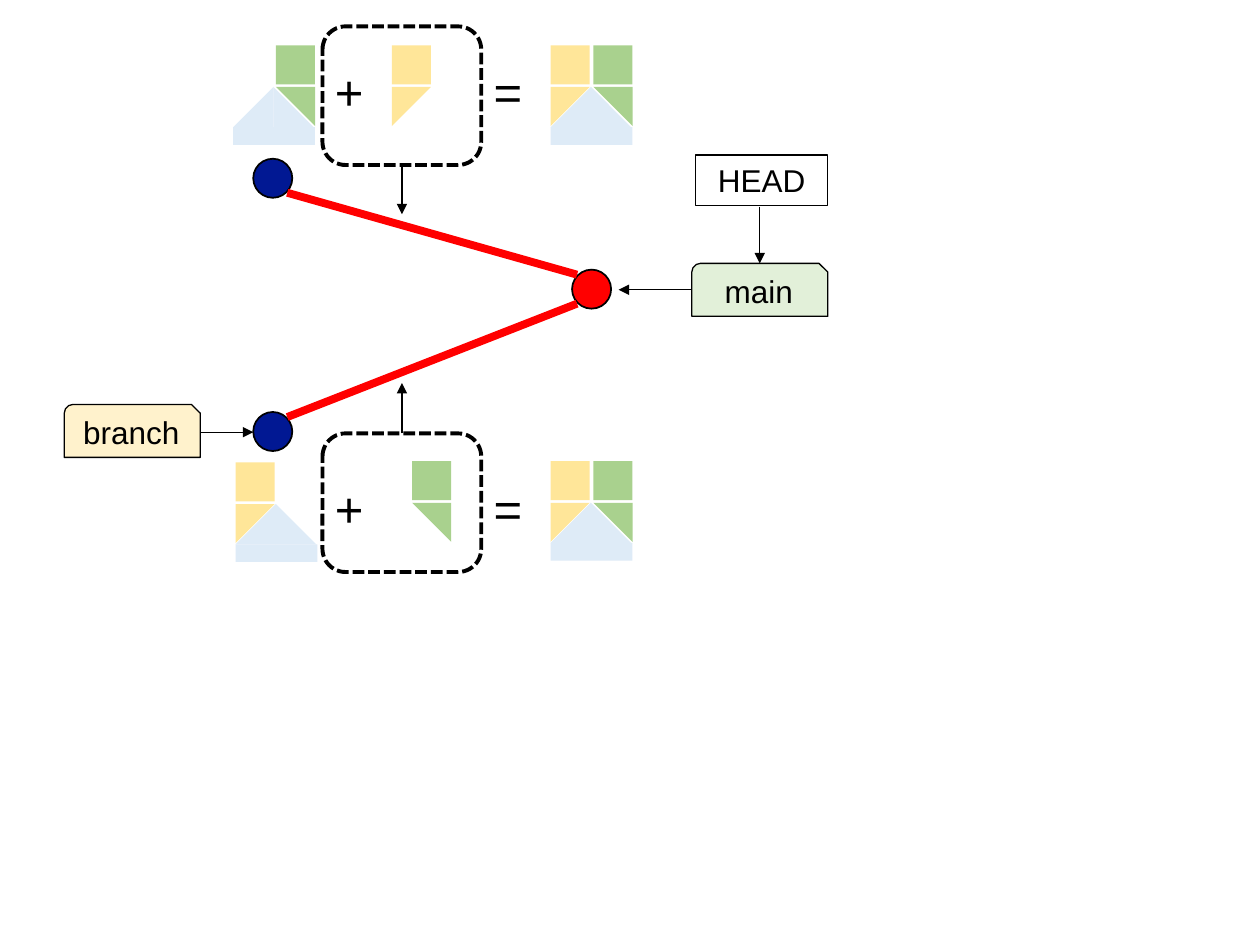
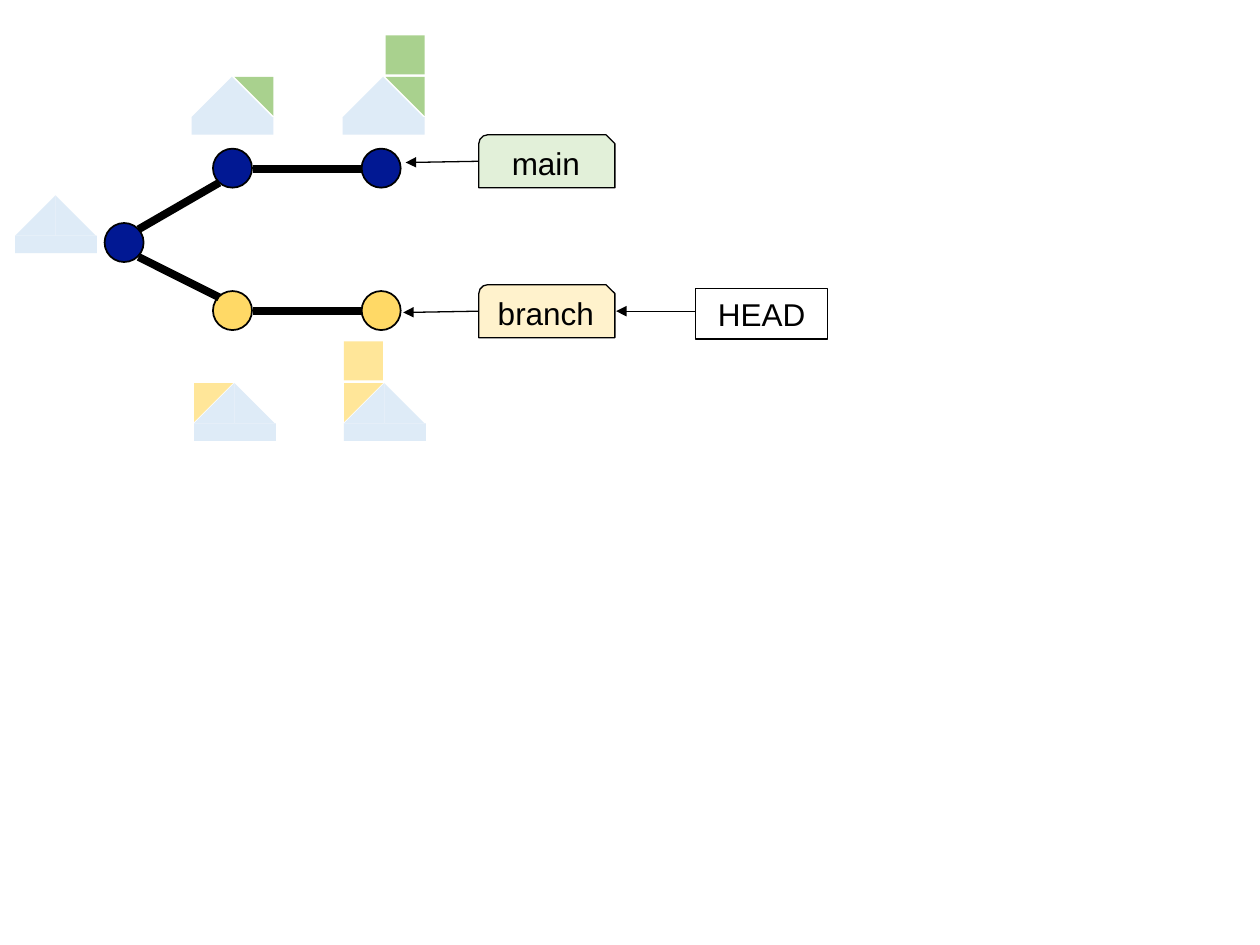
from pptx import Presentation
from pptx.dml.color import RGBColor
from pptx.enum.dml import MSO_LINE
from pptx.enum.shapes import MSO_CONNECTOR, MSO_SHAPE as Kind
from pptx.enum.text import MSO_ANCHOR, MSO_AUTO_SIZE, PP_ALIGN
from pptx.oxml.ns import qn
from pptx.util import Inches, Pt
from lxml import etree

BLACK, NAVY, RED, GOLD = "000000", "011893", "FF0000", "FFD966"
BLUE, GREEN, YELLOW = "DEEBF7", "A9D18E", "FFE699"
FONT = "Arial"
DOT = 0.31

# Part of a house: kind, offset from the roof corner, size, colour, turn
PARTS = {
    "base": (Kind.RECTANGLE, 0, 0.32, 0.65, 0.14, BLUE, 0),
    "roof right": (Kind.RIGHT_TRIANGLE, 0.32, 0, 0.32, 0.32, BLUE, 0),
    "roof left": (Kind.RIGHT_TRIANGLE, 0, 0, 0.32, 0.32, BLUE, 270),
    "green wedge": (Kind.RIGHT_TRIANGLE, 0.34, 0, 0.31, 0.31, GREEN, 180),
    "yellow wedge": (Kind.RIGHT_TRIANGLE, 0, 0, 0.31, 0.31, YELLOW, 90),
    "green block": (Kind.RECTANGLE, 0.34, -0.33, 0.31, 0.31, GREEN, 0),
    "yellow block": (Kind.RECTANGLE, 0, -0.33, 0.31, 0.31, YELLOW, 0),
}
ROOF = ["base", "roof right", "roof left"]
GREENS = ["green wedge", "green block"]
YELLOWS = ["yellow wedge", "yellow block"]

# Tag: kind, size, fill
TAGS = {
    "main": (Kind.SNIP_ROUND_RECTANGLE, 1.08, 0.42, "E2F0D9"),
    "branch": (Kind.SNIP_ROUND_RECTANGLE, 1.08, 0.42, "FFF2CC"),
    "HEAD": (Kind.RECTANGLE, 1.05, 0.4, None),
}

MERGE = {
    "houses": [
        (1.85, 0.69, ROOF + GREENS), (3.11, 0.69, YELLOWS),
        (4.37, 0.69, ROOF + GREENS + YELLOWS),
        (1.87, 4, ROOF + YELLOWS), (2.93, 3.99, GREENS),
        (4.37, 3.99, ROOF + GREENS + YELLOWS),
    ],
    "nodes": [(2.01, 1.26, NAVY), (2.01, 3.27, NAVY), (4.54, 2.14, RED)],
    "edges": [(2.28, 1.53, 4.58, 2.18), (2.28, 3.31, 4.58, 2.41)],
    "edge colour": RED,
    "tags": [("main", 5.49, 2.09), ("branch", 0.51, 3.21), ("HEAD", 5.52, 1.23)],
    "arrows": [
        (5.49, 2.3, 4.91, 2.3, 0.75), (1.59, 3.43, 2.01, 3.43, 0.75),
        (6.03, 1.64, 6.03, 2.09, 0.75),
        (3.19, 1.31, 3.19, 1.7, 1), (3.19, 3.44, 3.19, 3.04, 1),
    ],
    "sums": [0.21, 3.44],
    "sum signs": [0.44, 3.75],
}
SPLIT = {
    "houses": [
        (0.12, 1.55, ROOF),
        (1.52, 0.61, ROOF + ["green wedge"]), (2.72, 0.61, ROOF + GREENS),
        (1.54, 3.04, ROOF + ["yellow wedge"]), (2.73, 3.04, ROOF + YELLOWS),
    ],
    "nodes": [
        (0.83, 1.77, NAVY), (1.69, 1.18, NAVY), (2.87, 1.18, NAVY),
        (1.69, 2.31, GOLD), (2.87, 2.31, GOLD),
    ],
    "edges": [
        (1.1, 1.82, 1.74, 1.45), (1.1, 2.04, 1.74, 2.36),
        (2.01, 1.34, 2.87, 1.34), (2.01, 2.47, 2.87, 2.47),
    ],
    "edge colour": BLACK,
    "tags": [("main", 3.8, 1.07), ("branch", 3.8, 2.26), ("HEAD", 5.52, 2.29)],
    "arrows": [
        (3.8, 1.28, 3.22, 1.29, 0.75), (3.8, 2.47, 3.2, 2.48, 0.75),
        (5.52, 2.47, 4.89, 2.47, 0.75),
    ],
    "sums": [],
    "sum signs": [],
}


def rgb(code):
    return RGBColor.from_string(code)


def draw(shapes, kind, x, y, w, h, fill=None, width=0, turn=0):
    """Add a preset shape; a width of 0 means no outline."""
    shape = shapes.add_shape(kind, *map(Inches, (x, y, w, h)))
    shape.shadow.inherit = False
    shape.rotation = turn
    if fill:
        shape.fill.solid()
        shape.fill.fore_color.rgb = rgb(fill)
    else:
        shape.fill.background()
    if width:
        shape.line.color.rgb = rgb(BLACK)
        shape.line.width = Pt(width)
    else:
        shape.line.fill.background()
    return shape


def write(shape, text, size=18, align=PP_ALIGN.CENTER, anchor=MSO_ANCHOR.MIDDLE,
          wrap=True):
    frame = shape.text_frame
    frame.word_wrap = wrap
    frame.auto_size = MSO_AUTO_SIZE.SHAPE_TO_FIT_TEXT
    frame.vertical_anchor = anchor
    para = frame.paragraphs[0]
    para.alignment = align
    run = para.add_run()
    run.text = text
    run.font.name = FONT
    run.font.size = Pt(size)
    run.font.color.rgb = rgb(BLACK)


def link(shapes, x1, y1, x2, y2, width, color=BLACK, arrow=False):
    line = shapes.add_connector(MSO_CONNECTOR.STRAIGHT,
                                *map(Inches, (x1, y1, x2, y2)))
    line.line.color.rgb = rgb(color)
    line.line.width = Pt(width)
    props = line._element.spPr
    if arrow:
        etree.SubElement(props.find(qn("a:ln")), qn("a:tailEnd"), type="triangle")
    etree.SubElement(props, qn("a:effectLst"))


def build(shapes, x, y, names):
    """Add a house, or some parts of one, as a group."""
    group = shapes.add_group_shape().shapes
    for name in names:
        kind, dx, dy, w, h, fill, turn = PARTS[name]
        draw(group, kind, x + dx, y + dy, w, h, fill, turn=turn)


def fill_slide(shapes, plan):
    for house in plan["houses"]:
        build(shapes, *house)
    for x, y, fill in plan["nodes"]:
        draw(shapes, Kind.OVAL, x, y, DOT, DOT, fill, 1)
    for ends in plan["edges"]:
        link(shapes, *ends, 4.5, plan["edge colour"])
    for name, x, y in plan["tags"]:
        kind, w, h, fill = TAGS[name]
        write(draw(shapes, kind, x, y, w, h, fill, 0.75), name)
    for y in plan["sum signs"]:
        for x, sign in ((2.56, "+"), (3.82, "=")):
            box = shapes.add_textbox(*map(Inches, (x, y, 0.43, 0.57)))
            write(box, sign, size=28, align=PP_ALIGN.LEFT,
                  anchor=MSO_ANCHOR.TOP, wrap=False)
    for y in plan["sums"]:
        frame = draw(shapes, Kind.ROUNDED_RECTANGLE, 2.56, y, 1.26, 1.1, width=2.25)
        frame.line.dash_style = MSO_LINE.SQUARE_DOT
    for arrow in plan["arrows"]:
        link(shapes, *arrow, arrow=True)


def main():
    deck = Presentation()
    deck.slide_width, deck.slide_height = Inches(10), Inches(7.5)
    for plan in (MERGE, SPLIT):
        fill_slide(deck.slides.add_slide(deck.slide_layouts[6]).shapes, plan)
    deck.save("out.pptx")


if __name__ == "__main__":
    main()
